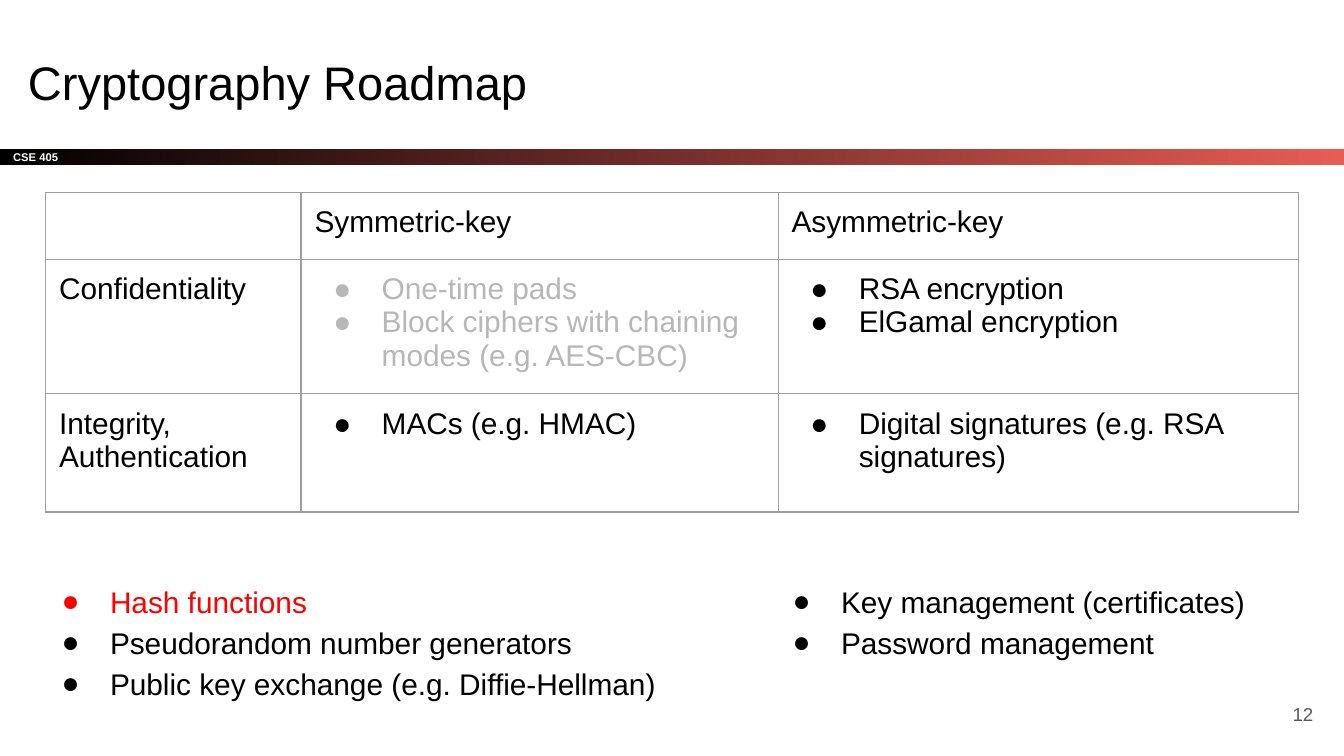
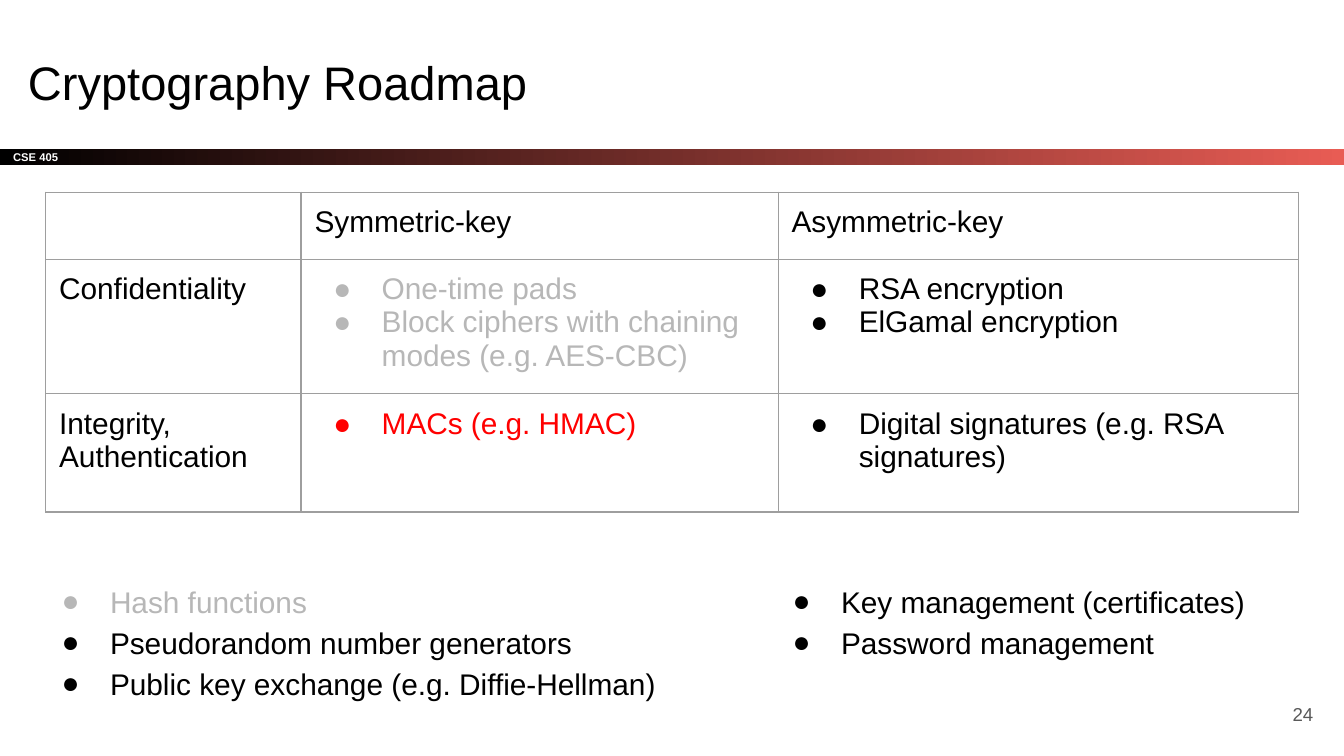
from dataclasses import dataclass

from lxml.etree import SubElement
from pptx import Presentation
from pptx.dml.color import RGBColor
from pptx.enum.shapes import MSO_SHAPE
from pptx.enum.text import MSO_ANCHOR, PP_ALIGN
from pptx.oxml import parse_xml
from pptx.oxml.ns import nsdecls, qn
from pptx.slide import Slide
from pptx.table import _Cell
from pptx.text.text import TextFrame
from pptx.util import Inches, Pt

COLS, ROWS = 100, 56.25
FONT = "Arial"
BLACK, WHITE, RED = "000000", "FFFFFF", "FF0000"
DONE, BORDER, NUMBER, BAND_END = "B7B7B7", "9E9E9E", "595959", "E85C54"
INSET, HANG, INDENT = 1, 3.6, 5
COL_WIDTHS = (19, 35.5, 38.7)
ROW_HEIGHTS = (4.1, 8.8, 8.8)


@dataclass(frozen=True)
class Box:
    left: float
    top: float
    width: float
    height: float

    def emu(self) -> tuple[int, int, int, int]:
        return (grid(self.left), grid(self.top), grid(self.width), grid(self.height))


@dataclass(frozen=True)
class Item:
    text: str
    color: str = BLACK
    bullet: bool = True


@dataclass(frozen=True)
class Roadmap:
    number: int
    hash_color: str
    mac_color: str


BAND = Box(0, 11.1, COLS, 1.2)
TITLE = Box(1.1, 3, 93.2, 6.3)
TABLE = Box(3.4, 14.3, sum(COL_WIDTHS), sum(ROW_HEIGHTS))
LEFT_LIST = Box(2.2, 42, 47.8, 12.8)
RIGHT_LIST = Box(56.6, 42, 37.7, 7.8)
PAGE_NUMBER = Box(92.7, 51, 6, 4.3)

ROADMAPS = (Roadmap(12, RED, BLACK), Roadmap(24, DONE, RED))


def grid(units: float) -> int:
    return Inches(units / 10)


def rgb(color: str) -> RGBColor:
    return RGBColor.from_string(color)


def label(text: str, color: str = BLACK) -> list[Item]:
    return [Item(text, color, bullet=False)]


def write(tf: TextFrame, items: list[Item], *, size: float = 16, bold: bool = False,
          align: PP_ALIGN = PP_ALIGN.LEFT, spacing: float = 1) -> None:
    for i, item in enumerate(items):
        p = tf.paragraphs[0] if i == 0 else tf.add_paragraph()
        p.alignment, p.line_spacing = align, spacing
        for j, line in enumerate(item.text.split("\n")):
            if j:
                p.add_line_break()
            r = p.add_run()
            r.text = line
            r.font.name, r.font.size, r.font.bold = FONT, Pt(size), bold
            r.font.color.rgb = rgb(item.color)
        if item.bullet:
            pPr = p._p.get_or_add_pPr()
            pPr.set("marL", str(grid(INDENT)))
            pPr.set("indent", str(-grid(HANG)))
            color = SubElement(pPr, qn("a:buClr"))
            SubElement(color, qn("a:srgbClr"), val=item.color)
            SubElement(pPr, qn("a:buFont"), typeface=FONT)
            SubElement(pPr, qn("a:buChar"), char="●")


def set_frame(tf: TextFrame, anchor: MSO_ANCHOR) -> None:
    tf.word_wrap = True
    tf.vertical_anchor = anchor
    tf.margin_left = tf.margin_right = tf.margin_top = tf.margin_bottom = grid(INSET)


def add_text(s: Slide, box: Box, items: list[Item],
             anchor: MSO_ANCHOR = MSO_ANCHOR.TOP, **style) -> None:
    tf = s.shapes.add_textbox(*box.emu()).text_frame
    set_frame(tf, anchor)
    write(tf, items, **style)


def add_band(s: Slide) -> None:
    sp = s.shapes.add_shape(MSO_SHAPE.RECTANGLE, *BAND.emu())
    sp.shadow.inherit = False
    sp.line.fill.background()
    sp.fill.gradient()
    sp.fill.gradient_angle = 0
    for stop, color in zip(sp.fill.gradient_stops, (BLACK, BAND_END)):
        stop.color.rgb = rgb(color)
    set_frame(sp.text_frame, MSO_ANCHOR.MIDDLE)
    write(sp.text_frame, label("CSE 405", WHITE), size=6, bold=True)


def set_borders(cell: _Cell) -> None:
    cell.fill.background()
    tcPr = cell._tc.get_or_add_tcPr()
    for i, side in enumerate(("lnL", "lnR", "lnT", "lnB")):
        tcPr.insert(i, parse_xml(
            f'<a:{side} {nsdecls("a")} w="{Pt(0.75)}"><a:solidFill>'
            f'<a:srgbClr val="{BORDER}"/></a:solidFill></a:{side}>'))


def add_table(s: Slide, rows: list[list[list[Item]]]) -> None:
    table = s.shapes.add_table(len(ROW_HEIGHTS), len(COL_WIDTHS), *TABLE.emu()).table
    table.first_row = table.horz_banding = False
    for column, width in zip(table.columns, COL_WIDTHS):
        column.width = grid(width)
    for row, height, contents in zip(table.rows, ROW_HEIGHTS, rows):
        row.height = grid(height)
        for cell, items in zip(row.cells, contents):
            cell.margin_left = cell.margin_right = grid(INSET)
            cell.margin_top = cell.margin_bottom = grid(INSET)
            set_borders(cell)
            write(cell.text_frame, items)


def add_roadmap(s: Slide, roadmap: Roadmap) -> None:
    add_band(s)
    add_text(s, TITLE, label("Cryptography Roadmap"), size=25.2)
    add_table(s, [
        [[], label("Symmetric-key"), label("Asymmetric-key")],
        [label("Confidentiality"),
         [Item("One-time pads", DONE),
          Item("Block ciphers with chaining modes (e.g. AES-CBC)", DONE)],
         [Item("RSA encryption"), Item("ElGamal encryption")]],
        [label("Integrity,\nAuthentication"),
         [Item("MACs (e.g. HMAC)", roadmap.mac_color)],
         [Item("Digital signatures (e.g. RSA signatures)")]],
    ])
    add_text(s, LEFT_LIST, [
        Item("Hash functions", roadmap.hash_color),
        Item("Pseudorandom number generators"),
        Item("Public key exchange (e.g. Diffie-Hellman)"),
    ], spacing=1.15)
    add_text(s, RIGHT_LIST, [
        Item("Key management (certificates)"),
        Item("Password management"),
    ], spacing=1.15)
    add_text(s, PAGE_NUMBER, label(str(roadmap.number), NUMBER),
             MSO_ANCHOR.MIDDLE, size=10, align=PP_ALIGN.RIGHT)


def main() -> None:
    prs = Presentation()
    prs.slide_width, prs.slide_height = grid(COLS), grid(ROWS)
    for roadmap in ROADMAPS:
        add_roadmap(prs.slides.add_slide(prs.slide_layouts[6]), roadmap)
    prs.save("out.pptx")


if __name__ == "__main__":
    main()
